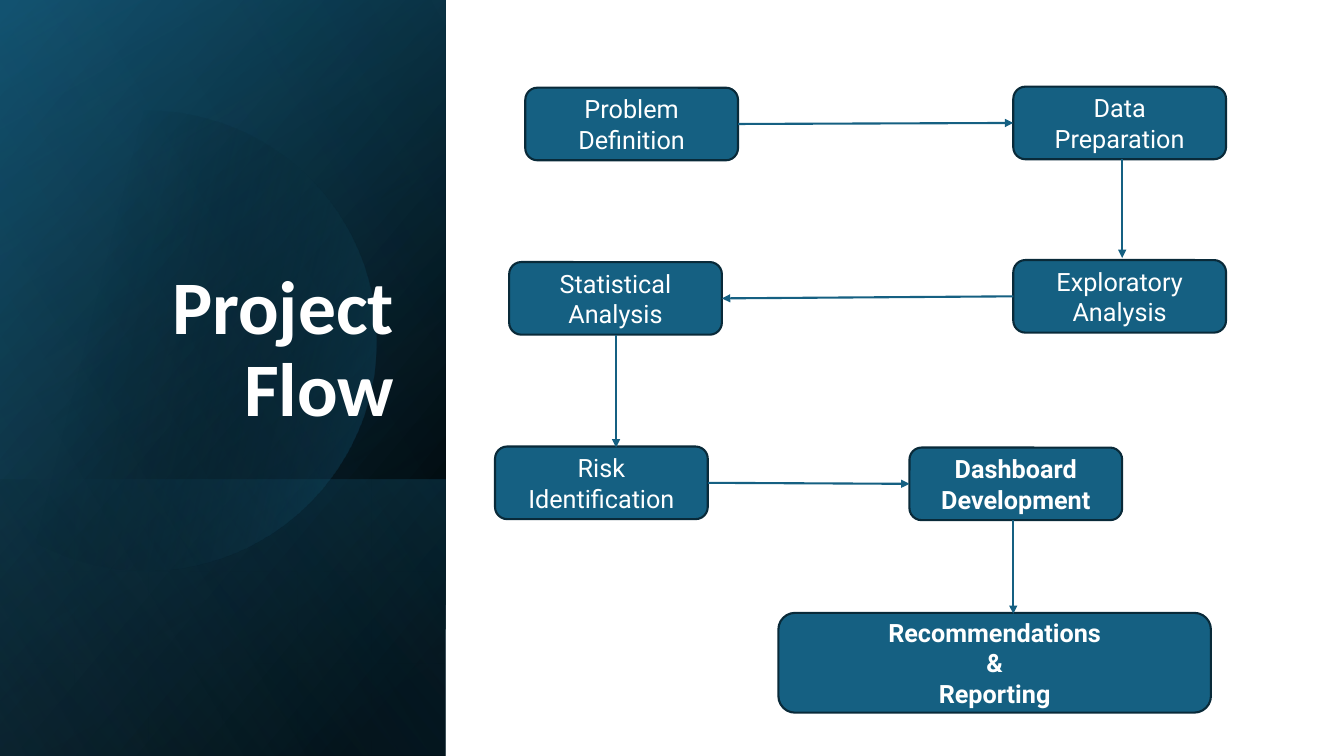
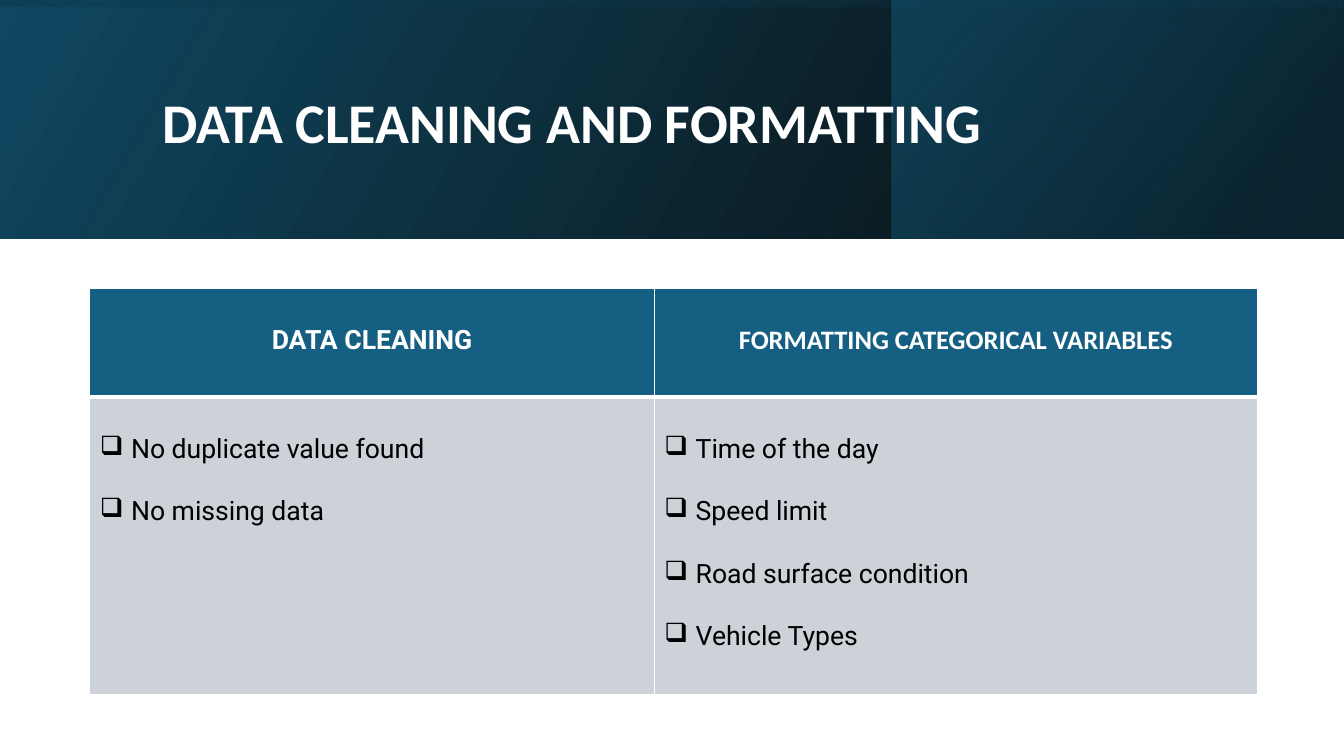
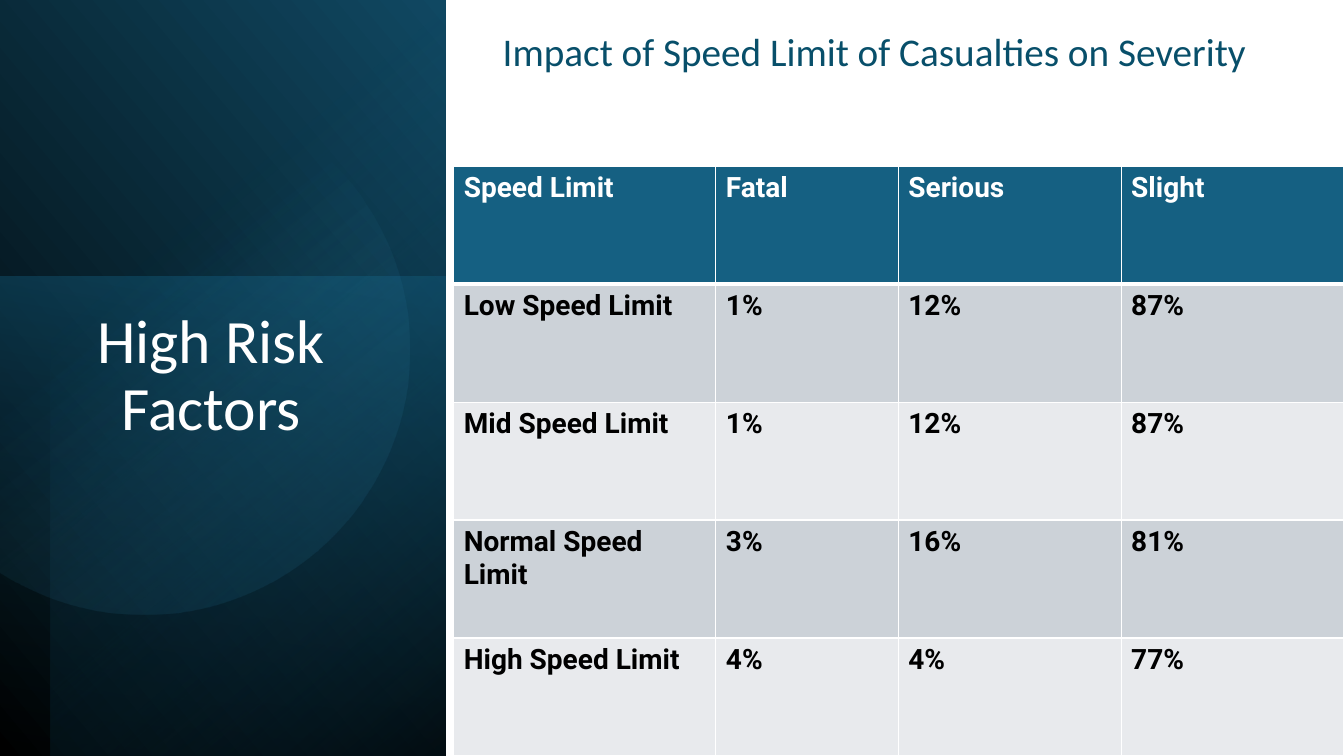
"""Build three slides on project flow, data cleaning and high risk factors."""
from dataclasses import dataclass
from math import acos, cos, sin

from lxml import etree
from pptx import Presentation
from pptx.dml.color import RGBColor
from pptx.enum.shapes import MSO_CONNECTOR, MSO_SHAPE
from pptx.enum.text import MSO_ANCHOR, MSO_AUTO_SIZE, PP_ALIGN
from pptx.oxml.ns import qn
from pptx.util import Emu, Pt

SCALE = 9144
RECT, ROUNDED = MSO_SHAPE.RECTANGLE, MSO_SHAPE.ROUNDED_RECTANGLE
STRAIGHT = MSO_CONNECTOR.STRAIGHT
FIXED = MSO_AUTO_SIZE.NONE
LEFT, CENTER, RIGHT = PP_ALIGN.LEFT, PP_ALIGN.CENTER, PP_ALIGN.RIGHT
TOP, MIDDLE, BOTTOM = MSO_ANCHOR.TOP, MSO_ANCHOR.MIDDLE, MSO_ANCHOR.BOTTOM


@dataclass(frozen=True)
class Theme:
    heading: str = "Calibri"
    body: str = "Roboto"
    white: str = "FFFFFF"
    black: str = "000000"
    teal: str = "156082"
    navy: str = "104862"
    deep: str = "0B3041"
    sky: str = "46B1E1"
    outline: str = "092A39"
    caption: str = "084F6A"
    bands: tuple = ("CCD2D8", "E8EAED")
    side_title: int = 54
    factor_title: int = 44
    band_title: int = 40
    caption_size: int = 28
    table_size: int = 20
    list_size: int = 19
    node_size: int = 18
    line: float = 1.5


THEME = Theme()


def px(*lengths):
    return [Emu(round(length * SCALE)) for length in lengths]


def assign(target, values):
    for name, value in values.items():
        setattr(target, name, value)


class Deck:
    def __init__(self, theme):
        self.theme = theme
        self.deck = Presentation()
        self.deck.slide_width, self.deck.slide_height = px(1333, 750)
        self.page = None

    def new_page(self):
        self.page = self.deck.slides.add_slide(self.deck.slide_layouts[5])

    def put_text(self, frame, lines, size, color, font=None, bold=False, bullet=None, **layout):
        for index, line in enumerate(lines):
            para = frame.add_paragraph() if index else frame.paragraphs[0]
            if bullet:
                properties = para._p.get_or_add_pPr()
                properties.set("marL", str(31 * SCALE))
                properties.set("indent", str(-31 * SCALE))
                etree.SubElement(properties, qn("a:buChar")).set("char", bullet)
            assign(para, layout)
            span = para.add_run()
            span.text = line
            assign(span.font, {"name": font or self.theme.body, "size": Pt(size), "bold": bold})
            span.font.color.rgb = RGBColor.from_string(color)

    def title(self, at, text, size, anchor, **layout):
        box = self.page.shapes.title
        box._element.getparent().append(box._element)
        assign(box, dict(zip(("left", "top", "width", "height"), px(*at))))
        assign(box.text_frame, {"word_wrap": True, "auto_size": FIXED,
                                "vertical_anchor": anchor})
        self.put_text(box.text_frame, [text], size, self.theme.white, self.theme.heading,
                      line_spacing=0.9, **layout)

    def caption(self, at, text):
        frame = self.page.shapes.add_textbox(*px(*at)).text_frame
        frame.word_wrap = True
        self.put_text(frame, [text], self.theme.caption_size, self.theme.caption,
                      self.theme.heading, alignment=CENTER, line_spacing=0.9)

    def shade(self, shape, stops, angle):
        shape.shadow.inherit = False
        shape.line.fill.background()
        shape.fill.gradient()
        shape.fill.gradient_angle = (360 - angle) % 360
        for stop, (place, color, opacity) in zip(shape.fill.gradient_stops, stops):
            stop.position = place / 100
            stop.color.rgb = RGBColor.from_string(color)
            if opacity < 100:
                etree.SubElement(stop._gs[0], qn("a:alpha")).set("val", str(opacity * 1000))

    def panel(self, at, stops, angle, rotation=0, flip=True):
        box = self.page.shapes.add_shape(RECT, *px(*at))
        box.rotation = rotation
        if flip:
            box._element.spPr.xfrm.set("flipH", "1")
        self.shade(box, stops, angle)

    def cut_disc(self, center_x, center_y, radius, stops, angle):
        reach = acos(-center_x / radius)
        steps = 90
        turns = [reach * (2 * step / steps - 1) for step in range(steps + 1)]
        points = [px(center_x + radius * cos(turn), center_y + radius * sin(turn))
                  for turn in turns]
        builder = self.page.shapes.build_freeform(*points[0])
        builder.add_line_segments(points[1:], close=True)
        self.shade(builder.convert_to_shape(), stops, angle)

    def node(self, lines, left, top, width=211, height=72, bold=False):
        box = self.page.shapes.add_shape(ROUNDED, *px(left, top, width, height))
        box.shadow.inherit = False
        box.fill.solid()
        box.fill.fore_color.rgb = RGBColor.from_string(self.theme.teal)
        box.line.color.rgb = RGBColor.from_string(self.theme.outline)
        box.line.width = Pt(self.theme.line)
        assign(box.text_frame, {"word_wrap": True, "vertical_anchor": MIDDLE})
        self.put_text(box.text_frame, lines, self.theme.node_size, self.theme.white,
                      bold=bold, alignment=CENTER)

    def arrow(self, *ends):
        arrow = self.page.shapes.add_connector(STRAIGHT, *px(*ends))
        arrow.line.color.rgb = RGBColor.from_string(self.theme.teal)
        arrow.line.width = Pt(self.theme.line)
        etree.SubElement(arrow.line._get_or_add_ln(), qn("a:tailEnd")).set("type", "triangle")
        etree.SubElement(arrow._element.spPr, qn("a:effectLst"))

    def table(self, left, top, widths, heights):
        size = sum(widths), sum(heights)
        grid = self.page.shapes.add_table(len(heights), len(widths), *px(left, top, *size)).table
        grid.horz_banding = False
        for column, width in zip(grid.columns, px(*widths)):
            column.width = width
        for index, (row, height) in enumerate(zip(grid.rows, px(*heights))):
            row.height = height
            fill = self.theme.bands[(index - 1) % 2] if index else self.theme.teal
            for cell in row.cells:
                self.border(cell, top=3 if index == 1 else 1, bottom=1 if index else 3)
                cell.fill.solid()
                cell.fill.fore_color.rgb = RGBColor.from_string(fill)
        return grid

    def border(self, cell, top, bottom):
        properties = cell._tc.get_or_add_tcPr()
        for edge, width in {"L": 1, "R": 1, "T": top, "B": bottom}.items():
            line = etree.SubElement(properties, qn(f"a:ln{edge}"))
            line.set("w", str(Pt(width)))
            fill = etree.SubElement(line, qn("a:solidFill"))
            etree.SubElement(fill, qn("a:srgbClr")).set("val", self.theme.white)


def project_flow(deck):
    deck.new_page()
    side = (-154, 154, 750, 442)
    deck.panel(side, [(8, THEME.black, 100), (100, THEME.navy, 100)], 50, 90)
    deck.panel(side, [(0, THEME.black, 0), (99, THEME.teal, 46)], 30, 90)
    deck.panel((84, 392, 274, 442), [(2, THEME.teal, 29), (100, THEME.black, 30)], 130, 90)
    deck.cut_disc(145, 338, 228, [(29, THEME.black, 0), (100, THEME.teal, 43)], 14)
    deck.panel(side, [(0, THEME.black, 0), (99, THEME.sky, 11)], 120, 90)
    deck.title((51, 64, 350, 370), "Project Flow", THEME.side_title, BOTTOM,
               bold=True, alignment=RIGHT, space_after=Pt(8))
    for text, left, top in [
        ("Problem Definition", 521, 87),
        ("Data Preparation", 1005, 86),
        ("Exploratory Analysis", 1005, 258),
        ("Statistical Analysis", 505, 260),
        ("Risk Identification", 491, 443),
    ]:
        deck.node([text], left, top)
    deck.node(["Dashboard Development"], 902, 444, bold=True)
    deck.node(["Recommendations", "&", "Reporting"], 772, 608, 429, 99, bold=True)
    for ends in [
        (732, 123, 1005, 122),
        (1113, 158, 1113, 256),
        (1005, 294, 716, 296),
        (611, 332, 611, 444),
        (702, 479, 902, 480),
        (1005, 516, 1005, 609),
    ]:
        deck.arrow(*ends)


def data_cleaning(deck):
    deck.new_page()
    deck.panel((0, 0, 1333, 237), [(0, THEME.black, 96), (100, THEME.navy, 100)], 330)
    deck.panel((884, 0, 448, 237), [(19, THEME.deep, 68), (100, THEME.teal, 48)], 320)
    deck.panel((548, -548, 237, 1333), [(23, THEME.navy, 16), (99, THEME.black, 45)], 350, 270)
    deck.title((151, 38, 1063, 172), "DATA CLEANING AND FORMATTING", THEME.band_title, MIDDLE,
               bold=True, alignment=LEFT)
    grid = deck.table(89, 286, (560, 598), (108, 295))
    columns = [
        ("DATA CLEANING", THEME.body, ["No duplicate value found", "No missing data"]),
        ("FORMATTING CATEGORICAL VARIABLES", THEME.heading,
         ["Time of the day", "Speed limit", "Road surface condition", "Vehicle Types"]),
    ]
    for index, (heading, font, items) in enumerate(columns):
        head, body = grid.cell(0, index), grid.cell(1, index)
        head.margin_top = px(36)[0]
        deck.put_text(head.text_frame, [heading], THEME.list_size, THEME.white, font,
                      bold=True, alignment=CENTER)
        deck.put_text(body.text_frame, items, THEME.list_size, THEME.black,
                      bullet="❑", line_spacing=2.0)


def risk_factors(deck):
    deck.new_page()
    deck.panel((-155, 155, 752, 442), [(0, THEME.black, 100), (100, THEME.navy, 100)], 310, 90)
    deck.panel((-17, 291, 476, 442), [(0, THEME.teal, 50), (100, THEME.deep, 0)], 190, 270,
               flip=False)
    deck.panel((-129, 179, 750, 392), [(0, THEME.black, 59), (69, THEME.teal, 0)], 220, 270)
    deck.cut_disc(143, 347, 263, [(39, THEME.sky, 0), (100, THEME.navy, 26)], 52)
    deck.title((9, 303, 401, 141), "High Risk Factors", THEME.factor_title, TOP,
               alignment=CENTER)
    rows = [
        ("Speed Limit", "Fatal", "Serious", "Slight"),
        ("Low Speed Limit", "1%", "12%", "87%"),
        ("Mid Speed Limit", "1%", "12%", "87%"),
        ("Normal Speed Limit", "3%", "16%", "81%"),
        ("High Speed Limit", "4%", "4%", "77%"),
    ]
    grid = deck.table(450, 165, (260, 181, 221, 221), [117] * len(rows))
    for index, (row, values) in enumerate(zip(grid.rows, rows)):
        color = THEME.black if index else THEME.white
        for cell, value in zip(row.cells, values):
            deck.put_text(cell.text_frame, [value], THEME.table_size, color, bold=True)
    deck.caption((483, 27, 768, 92), "Impact of Speed Limit of Casualties on Severity")


def main():
    deck = Deck(THEME)
    project_flow(deck)
    data_cleaning(deck)
    risk_factors(deck)
    deck.deck.save("out.pptx")


if __name__ == "__main__":
    main()
